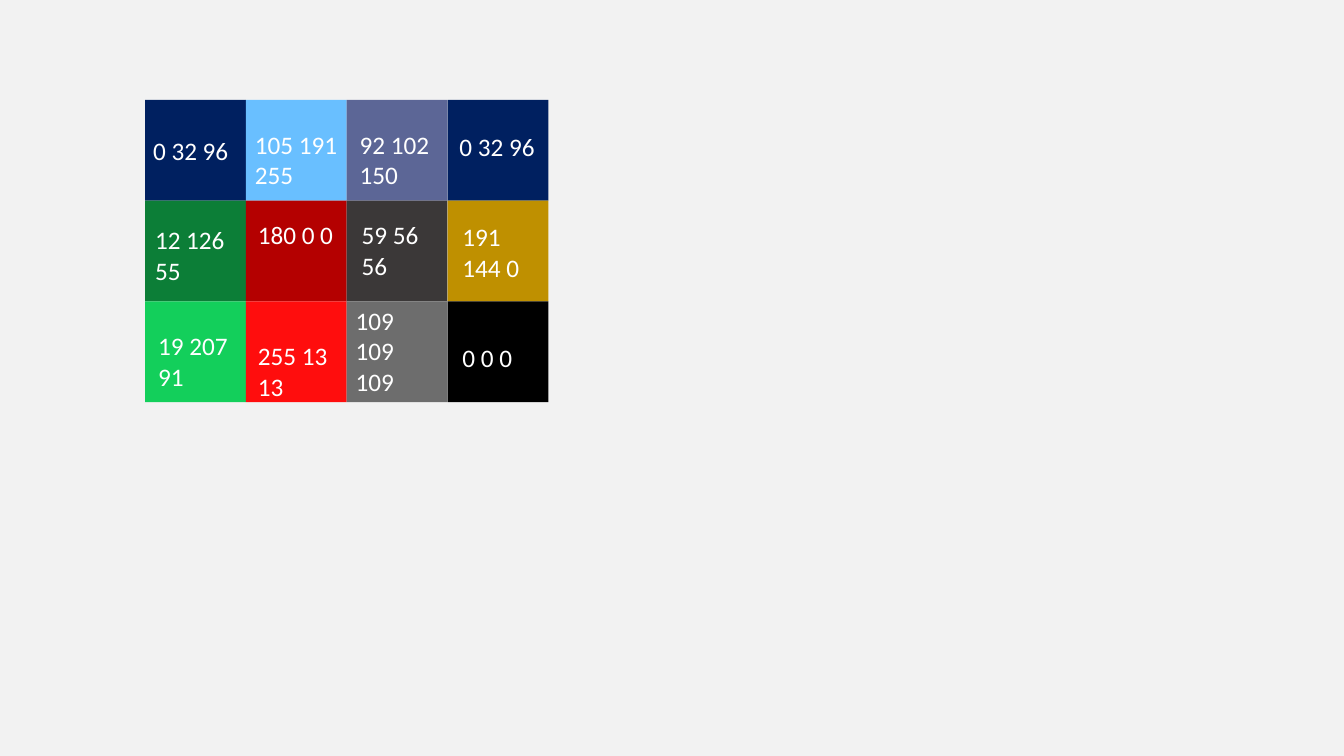
from dataclasses import dataclass

from pptx import Presentation
from pptx.dml.color import RGBColor
from pptx.enum.shapes import MSO_SHAPE
from pptx.enum.text import MSO_AUTO_SIZE
from pptx.util import Pt


@dataclass(frozen=True)
class Theme:
    background: tuple = (242, 242, 242)
    label_color: tuple = (255, 255, 255)
    label_size: float = 18
    font: str = "Calibri"


def write_text(frame, text, *, font, size, color):
    run = frame.paragraphs[0].add_run()
    run.text = text
    run.font.name = font
    run.font.size = Pt(size)
    run.font.color.rgb = RGBColor(*color)


class PaletteSlide:
    def __init__(self, slide, theme):
        self.slide = slide
        self.theme = theme
        backdrop = slide.background.fill
        backdrop.solid()
        backdrop.fore_color.rgb = RGBColor(*theme.background)

    def swatch(self, left, top, side, color):
        square = self.slide.shapes.add_shape(
            MSO_SHAPE.RECTANGLE, Pt(left), Pt(top), Pt(side), Pt(side))
        square.shadow.inherit = False
        square.fill.solid()
        square.fill.fore_color.rgb = RGBColor(*color)
        square.line.fill.background()

    def label(self, text, left, top, width, height):
        frame = self.slide.shapes.add_textbox(
            Pt(left), Pt(top), Pt(width), Pt(height)).text_frame
        frame.word_wrap = True
        frame.auto_size = MSO_AUTO_SIZE.SHAPE_TO_FIT_TEXT
        write_text(frame, text, font=self.theme.font,
                   size=self.theme.label_size, color=self.theme.label_color)


SIDE = 72
GRID_LEFT, GRID_TOP = 103.7, 71.3
ONE_LINE, LINE_STEP = 29.1, 21.8
WIDE_LABEL = 84.2

PALETTE = [
    [(0, 32, 96), (105, 191, 255), (92, 102, 150), (0, 32, 96)],
    [(12, 126, 55), (180, 0, 0), (59, 56, 56), (191, 144, 0)],
    [(19, 207, 91), (255, 13, 13), (109, 109, 109), (0, 0, 0)],
]
LABEL_OFFSETS = [
    [(-1.4, 21.6), (-0.7, 17.3), (2.2, 17.3), (1.4, 18.7)],
    [(0, 13.7), (1.4, 10.1), (3.6, 10.1), (3.6, 11.5)],
    [(2.2, 17.3), (1.4, 24.5), (-0.7, -0.7), (3.6, 25.9)],
]
LABEL_LINES = [
    [1, 2, 2, 1],
    [2, 1, 2, 2],
    [2, 2, 3, 1],
]

presentation = Presentation()
presentation.slide_width = Pt(960)
presentation.slide_height = Pt(540)
blank_layout = presentation.slide_layouts[6]
palette_slide = PaletteSlide(presentation.slides.add_slide(blank_layout), Theme())

cells = [
    (row, column, GRID_LEFT + column * SIDE, GRID_TOP + row * SIDE, color)
    for row, colors in enumerate(PALETTE)
    for column, color in enumerate(colors)
]

for row, column, left, top, color in cells:
    palette_slide.swatch(left, top, SIDE, color)

for row, column, left, top, color in cells:
    shift_right, shift_down = LABEL_OFFSETS[row][column]
    height = ONE_LINE + LINE_STEP * (LABEL_LINES[row][column] - 1)
    width = WIDE_LABEL if color == (105, 191, 255) else SIDE
    palette_slide.label(" ".join(map(str, color)),
                        left + shift_right, top + shift_down, width, height)

presentation.save("out.pptx")
